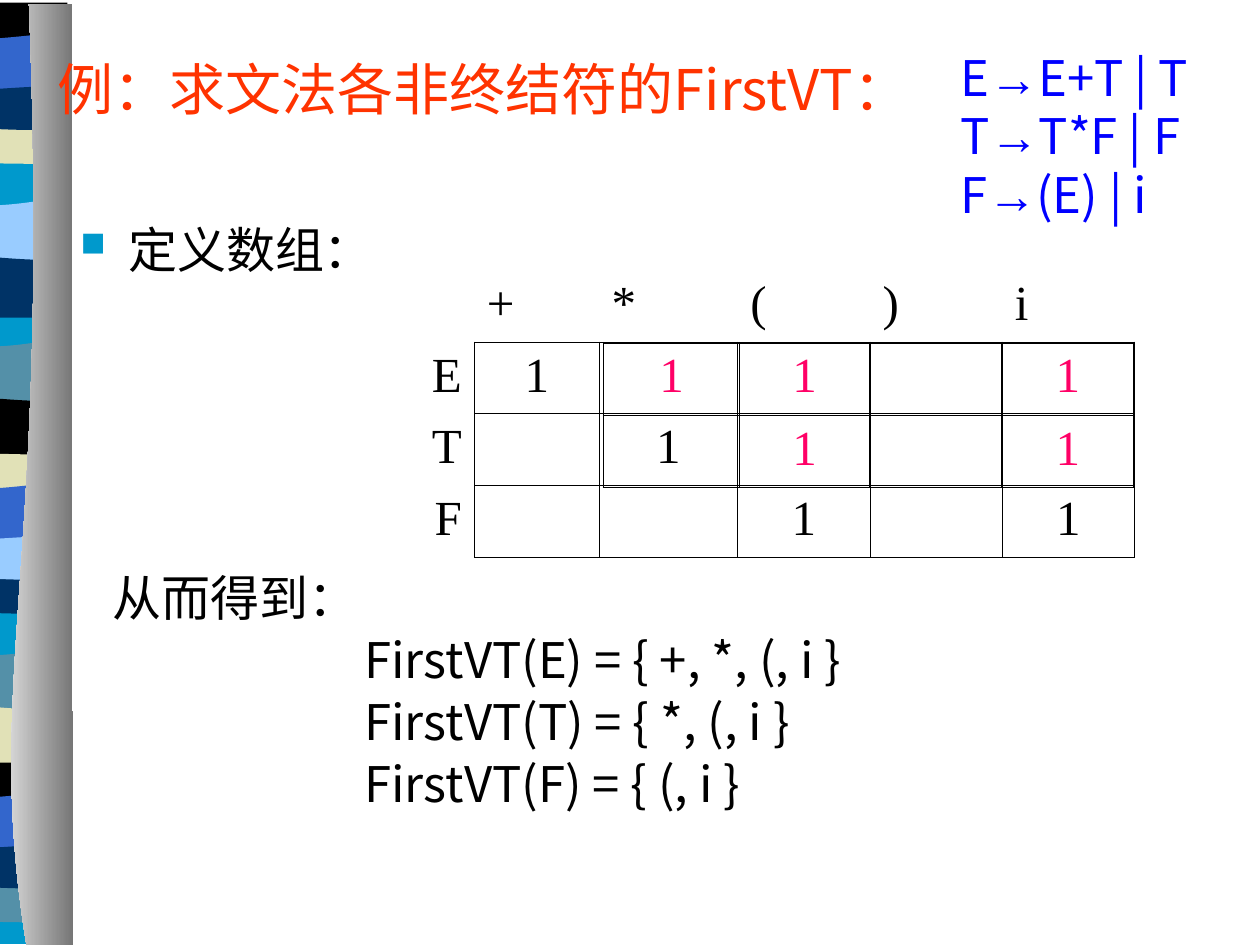
import dataclasses

import pptx
import pptx.dml.color
import pptx.enum.text
import pptx.oxml
import pptx.oxml.ns
import pptx.util

UNIT = pptx.util.Inches(0.1)
FINE = 100
NO_STYLE = "{2D5ABB26-0587-4C30-8999-92F81FD0307C}"
ALIGN = pptx.enum.text.PP_ALIGN
ANCHOR = pptx.enum.text.MSO_ANCHOR

ARCH_BOTTOM = [(11, 3.8), (4.2, 3.3), (2.3, 3.8), (0, 3.8)]
PROFILES = {
    "flat": [[(0, 0), (11, 0)], [(11, 74.5), (0, 74.5)]],
    "swell": [[(0, 0.8), (7.6, 1.6), (9.1, 0), (11, 0.8)], [(11, 5.4), (0, 5.4)]],
    "slope": [[(0, 0.8), (1.8, 0), (7.6, 1.3), (11, 0.8)], [(11, 5.5), (0, 5.5)]],
    "lens": [[(0, 0.4), (1.8, 0), (9.1, 0), (11, 0.4)],
             [(11, 2.8), (10.3, 3.3), (8.6, 3.2), (6.8, 3.2), (4.9, 3.2), (1.4, 2.9), (0, 2.8)]],
    "arch": [[(0, 0.5), (1.8, 0), (9.1, 0), (11, 0.5)], ARCH_BOTTOM],
    "cap": [[(0, 0), (11, 0)], ARCH_BOTTOM],
    "sag": [[(0, 0), (1.7, 0.5), (2.4, 0.5), (4.2, 0.5), (6.1, 0.5), (9.3, 0), (11, 0)],
            [(11, 4.7), (0, 4.7)]],
    "wave": [[(0, 0.5), (0.7, 0), (2.4, 0.5), (4.2, 0.5), (6.1, 0.5), (9.9, 0), (11, 0.5)],
             [(11, 3.5), (9.4, 4), (3.5, 3.5), (1.7, 3.5), (-0.1, 3.5), (0.4, 3.5), (0, 3.5)]],
}
BANDS = [
    ("flat", 0.4, "0099CC"),
    ("swell", 51, "5490A8"), ("slope", 55.4, "E1E1B7"), ("lens", 70, "5490A8"),
    ("arch", 60.4, "000000"), ("sag", 62.8, "3366CC"), ("wave", 66.8, "003366"),
    ("swell", 26.5, "5490A8"), ("slope", 30.9, "000000"), ("lens", 45.5, "003366"),
    ("arch", 35.9, "E1E1B7"), ("sag", 38.3, "3366CC"), ("wave", 42.3, "99CCFF"),
    ("swell", 15.3, "99CCFF"), ("slope", 19.7, "003366"), ("lens", 9.8, "E1E1B7"),
    ("cap", 0.2, "000000"), ("sag", 2.6, "3366CC"), ("wave", 6.6, "003366"),
]


def color(value):
    return pptx.dml.color.RGBColor.from_string(value)


def add_text(paragraph, text, font="Noto Sans CJK SC", size=28, fill="000000"):
    run = paragraph.add_run()
    run.text = text
    run.font.name = font
    run.font.size = pptx.util.Pt(size)
    run.font.color.rgb = color(fill)
    latin = run.font._element.find(pptx.oxml.ns.qn("a:latin"))
    latin.addnext(latin.makeelement(pptx.oxml.ns.qn("a:ea"), {"typeface": font}))


def bend(shape, edges):
    segments = iter(list(shape._element.iter(pptx.oxml.ns.qn("a:lnTo"))))
    for index, edge in enumerate(edges):
        if index:
            next(segments)
        if len(edge) == 2:
            next(segments)
            continue
        for _ in range(0, len(edge) - 1, 3):
            group = [next(segments) for _ in range(3)]
            curve = group[0].makeelement(pptx.oxml.ns.qn("a:cubicBezTo"), {})
            group[0].addprevious(curve)
            for segment in group:
                curve.append(segment[0])
                segment.getparent().remove(segment)


def set_border(cell, side, width):
    line = pptx.oxml.parse_xml(
        f'<a:ln{side} {pptx.oxml.ns.nsdecls("a")} w="{pptx.util.Pt(width)}">'
        '<a:solidFill><a:srgbClr val="000000"/></a:solidFill>'
        f'</a:ln{side}>')
    cell._tc.get_or_add_tcPr().append(line)


@dataclasses.dataclass
class Deck:
    slide: object
    serif: str = "Times New Roman"
    line_height: float = 33.6
    thin: float = 0.45
    heavy: float = 1.08

    def outline(self, edges, left=0, top=0):
        points = [((left + x) * FINE, (top + y) * FINE) for edge in edges for x, y in edge]
        builder = self.slide.shapes.build_freeform(*points[0], scale=UNIT / FINE)
        builder.add_line_segments(points[1:], close=True)
        shape = builder.convert_to_shape()
        bend(shape, edges)
        shape.shadow.inherit = False
        shape.line.fill.background()
        return shape

    def band(self, profile, top, fill):
        shape = self.outline(PROFILES[profile], -5.65, top)
        shape.fill.solid()
        shape.fill.fore_color.rgb = color(fill)

    def ribbon(self):
        shape = self.outline([[(2.1, 75), (-1.4, 53.4), (4.1, 45.5), (2.3, 0.3)],
                              [(5.7, 0.3), (5.8, 75)]])
        shape.fill.gradient()
        shape.fill.gradient_angle = 0
        for stop, value in zip(shape.fill.gradient_stops, ("FFFFFF", "767676")):
            stop.color.rgb = color(value)

    def text_box(self, *place, anchor=ANCHOR.TOP, wrap=True):
        shape = self.slide.shapes.add_textbox(*(round(length * UNIT) for length in place))
        shape.text_frame.word_wrap = wrap
        shape.text_frame.vertical_anchor = anchor
        return shape

    def title(self, text, *place):
        frame = self.text_box(*place, anchor=ANCHOR.MIDDLE).text_frame
        add_text(frame.paragraphs[0], text, size=32, fill="FF3300")

    def bullet(self, text, *place):
        paragraph = self.text_box(*place).text_frame.paragraphs[0]
        paragraph.line_spacing = 0.8
        properties = paragraph._p.get_or_add_pPr()
        indent = pptx.util.Inches(0.38)
        properties.set("marL", str(indent))
        properties.set("indent", str(-indent))
        for tag, value in (('buClr', '><a:srgbClr val="0099CC"/></a:buClr>'),
                           ('buSzPct', ' val="70000"/>'), ('buChar', ' char="■"/>')):
            properties.append(pptx.oxml.parse_xml(
                f'<a:{tag} {pptx.oxml.ns.nsdecls("a")}{value}'))
        add_text(paragraph, text)

    def grammar(self, rules, *place):
        shape = self.text_box(*place, wrap=False)
        shape.fill.solid()
        shape.fill.fore_color.rgb = color("FFFFFF")
        paragraph = shape.text_frame.paragraphs[0]
        paragraph.line_spacing = pptx.util.Pt(self.line_height)
        for index, (symbol, production) in enumerate(rules):
            if index:
                paragraph.add_line_break()
            add_text(paragraph, symbol, fill="0000FF")
            add_text(paragraph, "→", font="Arial", fill="0000FF")
            add_text(paragraph, production, fill="0000FF")

    def results(self, heading, lines, *place):
        frame = self.text_box(*place).text_frame
        for index, text in enumerate([heading, *lines]):
            paragraph = frame.add_paragraph() if index else frame.paragraphs[0]
            paragraph.line_spacing = pptx.util.Pt(self.line_height)
            if index:
                paragraph.space_before = pptx.util.Pt(1.8)
                paragraph._p.get_or_add_pPr().set("marL", str(20 * UNIT))
            add_text(paragraph, text)

    def table(self, left, top, columns, row_height, rows, fill="000000", headers=0, heavy="LTRB"):
        place = (left, top, sum(columns), row_height * len(rows))
        frame = self.slide.shapes.add_table(
            len(rows), len(columns), *(round(length * UNIT) for length in place))
        table = frame.table
        table.first_row = table.horz_banding = False
        table._tbl.tblPr.find(pptx.oxml.ns.qn("a:tableStyleId")).text = NO_STYLE
        for column, width in zip(table.columns, columns):
            column.width = round(width * UNIT)
        for y, texts in enumerate(rows):
            for x, text in enumerate(texts):
                cell = table.cell(y, x)
                if text:
                    paragraph = cell.text_frame.paragraphs[0]
                    paragraph.alignment = (ALIGN.RIGHT if x < headers else
                                           ALIGN.LEFT if y < headers else ALIGN.CENTER)
                    add_text(paragraph, text, font=self.serif, fill=fill)
                if x >= headers and y >= headers:
                    outer = {"L": x == headers, "R": x == len(columns) - 1,
                             "T": y == headers, "B": y == len(rows) - 1}
                    for side, at_edge in outer.items():
                        set_border(cell, side,
                                   self.heavy if at_edge and side in heavy else self.thin)
                cell.fill.background()


def main():
    presentation = pptx.Presentation()
    presentation.slide_width = 100 * UNIT
    presentation.slide_height = 75 * UNIT
    deck = Deck(presentation.slides.add_slide(presentation.slide_layouts[6]))
    for band in BANDS:
        deck.band(*band)
    deck.ribbon()
    deck.title("例：求文法各非终结符的FirstVT：", 3.55, 2.15, 78.7, 9.7)
    deck.bullet("定义数组：", 5.4, 17.8, 47.6, 5)
    deck.table(27.15, 21.45, [10.5, 9.9, 11, 10.5, 10.5, 10.5], 5.7,
               [["", "+", "*", "(", ")", "i"],
                ["E", "1", "", "", "", ""],
                ["T", "", "1", "", "", ""],
                ["F", "", "", "1", "", "1"]], headers=1, heavy="RB")
    deck.grammar([("E", "E+T | T"), ("T", "T*F | F"), ("F", "(E) | i")], 75.25, 3.25, 20.9, 15)
    deck.table(47.9, 27.2, [10.8, 10.3, 10.5, 10.5], 5.75,
               [["1", "1", "", "1"], ["", "1", "", "1"]], fill="FF0066")
    deck.results("从而得到：",
                 ["FirstVT(E) = { +, *, (, i }", "FirstVT(T) = { *, (, i }",
                  "FirstVT(F) = { (, i }"], 7.95, 44.55, 66.7, 20.4)
    presentation.save("out.pptx")


if __name__ == "__main__":
    main()
